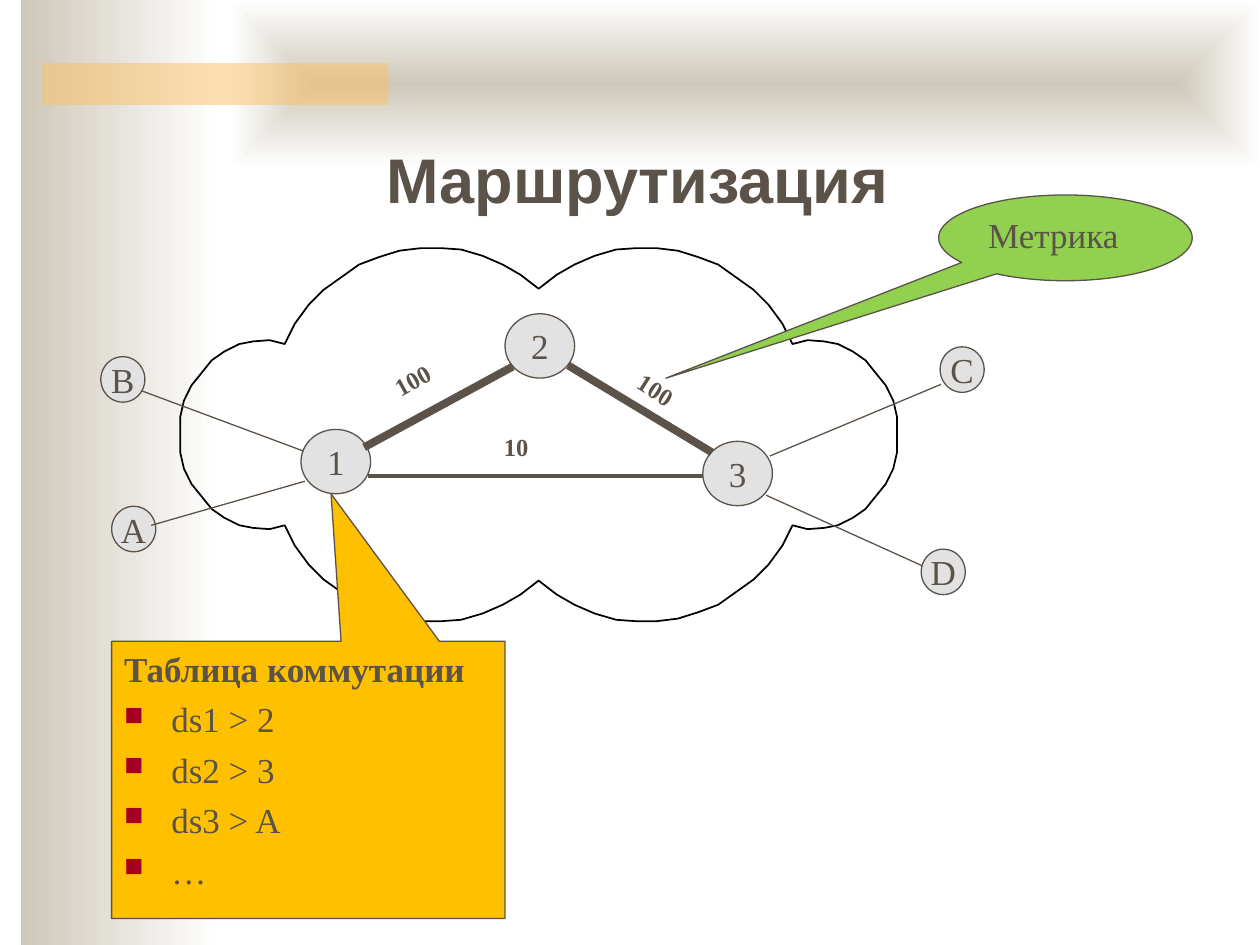
from lxml.etree import SubElement
from pptx import Presentation
from pptx.dml.color import RGBColor
from pptx.enum.shapes import MSO_CONNECTOR, MSO_SHAPE
from pptx.enum.text import MSO_ANCHOR, PP_ALIGN
from pptx.oxml import parse_xml
from pptx.oxml.ns import nsdecls, qn
from pptx.util import Pt

COLORS = {
    "ink": "5B5249", "sand": "CEC8BA", "white": "FFFFFF", "bar": "FAC164",
    "node": "E2E2E2", "table": "FFC000", "metric": "92D050",
    "cloud": "000000", "bullet": "A50021",
}
SERIF = "Times New Roman"

presentation = Presentation()
presentation.slide_width, presentation.slide_height = Pt(720), Pt(540)
slide = presentation.slides.add_slide(presentation.slide_layouts[6])
shapes = slide.shapes


def add_block(kind, box, fill=None, outlined=True):
    shape = shapes.add_shape(kind, *map(Pt, box))
    shape.shadow.inherit = False
    if fill:
        shape.fill.solid()
        shape.fill.fore_color.rgb = RGBColor.from_string(COLORS[fill])
    if outlined:
        shape.line.color.rgb = RGBColor.from_string(COLORS["ink"])
        shape.line.width = Pt(0.75)
    else:
        shape.line.fill.background()
    return shape


def write(shape, text, size, font=SERIF, bold=False, align=PP_ALIGN.LEFT,
          anchor=MSO_ANCHOR.TOP, wrap=True, bottom=3.6):
    frame = shape.text_frame
    frame.text = text
    frame.word_wrap = wrap
    frame.vertical_anchor = anchor
    frame.margin_bottom = Pt(bottom)
    for paragraph in frame.paragraphs:
        paragraph.alignment = align
        for run in paragraph.runs:
            run.font.size = Pt(size)
            run.font.name = font
            run.font.bold = bold
            run.font.color.rgb = RGBColor.from_string(COLORS["ink"])


side_band = add_block(MSO_SHAPE.RECTANGLE, (12, 0, 114, 540), outlined=False)
top_band = add_block(MSO_SHAPE.RECTANGLE, (132, 0, 588, 96), outlined=False)
for band in (side_band, top_band):
    band.fill.gradient()
    band.fill.gradient_angle = 0
    for stop, color, position in zip(band.fill.gradient_stops, ("sand", "white"), (0, 1)):
        stop.color.rgb = RGBColor.from_string(COLORS[color])
        stop.position = position
linear = top_band.element.spPr.find(qn("a:gradFill")).find(qn("a:lin"))
linear.getparent().replace(linear, parse_xml(
    f'<a:path {nsdecls("a")} path="rect">'
    '<a:fillToRect l="50000" t="50000" r="50000" b="50000"/></a:path>'))

bar = add_block(MSO_SHAPE.RECTANGLE, (24, 36, 198, 24), "bar", outlined=False)
bar_color = bar.element.spPr.find(qn("a:solidFill"))[0]
SubElement(bar_color, qn("a:alpha"), val="50000")

title = shapes.add_textbox(Pt(58.3), Pt(77), Pt(612), Pt(47.5))
write(title, "Маршрутизация", 36, font="Arial", bold=True, align=PP_ALIGN.CENTER, bottom=0)

HOST, ROUTER = (25.2, 26), (39.8, 36.8)
nodes = [
    ("B", 57.6, 203.8, HOST), ("2", 288.6, 179.3, ROUTER),
    ("1", 172, 245.4, ROUTER), ("3", 401.6, 252.2, ROUTER),
    ("A", 63.8, 289.3, HOST), ("D", 526.4, 313.8, HOST),
    ("C", 537.2, 198.2, HOST),
]
for name, left, top, size in nodes:
    node = add_block(MSO_SHAPE.OVAL, (left, top, *size), "node")
    write(node, name, 20, align=PP_ALIGN.CENTER, anchor=MSO_ANCHOR.MIDDLE, wrap=False)

center_x, center_y = 307.8, 248.4
quarter = [
    (307.8, 165), (297.4, 157), (287.3, 151.2), (275.8, 146.2), (263.5, 142.6),
    (252, 141.8), (240.5, 141.8), (228.2, 143.3), (216.7, 146.9), (205.2, 151.2),
    (195.1, 158.4), (185, 165.6), (176.4, 174.2), (168.5, 185), (162.7, 196.6),
    (154.1, 194.4), (144.7, 195.1), (136.8, 196.6), (128.2, 200.9), (121, 205.9),
    (115.2, 213.1), (109.4, 220.3), (105.1, 229), (103, 238.3), (103, 248.4),
]
left_half = quarter + [(x, 2 * center_y - y) for x, y in quarter[-2::-1]]
outline = left_half + [(2 * center_x - x, y) for x, y in left_half[-2:0:-1]]
points = [(Pt(x), Pt(y)) for x, y in outline]
builder = shapes.build_freeform(*points[0])
builder.add_line_segments(points[1:], close=True)
cloud = builder.convert_to_shape()
cloud.shadow.inherit = False
cloud.fill.background()
cloud.line.color.rgb = RGBColor.from_string(COLORS["cloud"])
cloud.line.width = Pt(1)

links = [
    (80.6, 223.2, 173.5, 257.8, 0.75), (86.4, 300.2, 174.2, 275, 0.75),
    (208.1, 255.6, 293, 209.5, 4.5), (324.7, 208.8, 406.8, 258.5, 4.5),
    (210.2, 272.2, 401.8, 272.2, 2.25), (439.9, 260.6, 537.8, 219.6, 0.75),
    (437.8, 283, 527, 323.3, 0.75),
]
for *ends, width in links:
    link = shapes.add_connector(MSO_CONNECTOR.STRAIGHT, *map(Pt, ends))
    link.line.color.rgb = RGBColor.from_string(COLORS["ink"])
    link.line.width = Pt(width)
    SubElement(link.element.spPr, qn("a:effectLst"))

for cost, left, top, angle in [("100", 216.7, 200.2, 331), ("100", 355.7, 216, 32.3),
                               ("10", 280.8, 243.4, 0)]:
    label = shapes.add_textbox(Pt(left), Pt(top), Pt(55.4), Pt(23.8))
    label.rotation = angle
    write(label, cost, 14, bold=True)

table = add_block(MSO_SHAPE.RECTANGULAR_CALLOUT, (63.8, 366.5, 224.8, 158.4), "table")
table.adjustments[0], table.adjustments[1] = 0.058, -1.032
write(table, "Таблица коммутации\nds1 > 2\nds2 > 3\nds3 > A\n…", 20, bottom=0)
heading, *routes = table.text_frame.paragraphs
heading.runs[0].font.bold = True
for route in routes:
    route.space_before = Pt(4.8)
    properties = route._p.get_or_add_pPr()
    properties.set("marL", str(Pt(27)))
    properties.set("indent", str(Pt(-27)))
    bullet_color = SubElement(properties, qn("a:buClr"))
    SubElement(bullet_color, qn("a:srgbClr"), val=COLORS["bullet"])
    SubElement(properties, qn("a:buSzPct"), val="75000")
    SubElement(properties, qn("a:buChar"), char="■")

metric = add_block(MSO_SHAPE.OVAL_CALLOUT, (536.4, 111.4, 144.9, 49), "metric")
metric.adjustments[0], metric.adjustments[1] = -1.576, 1.637
write(metric, "Метрика", 20, bottom=0)

presentation.save("out.pptx")
